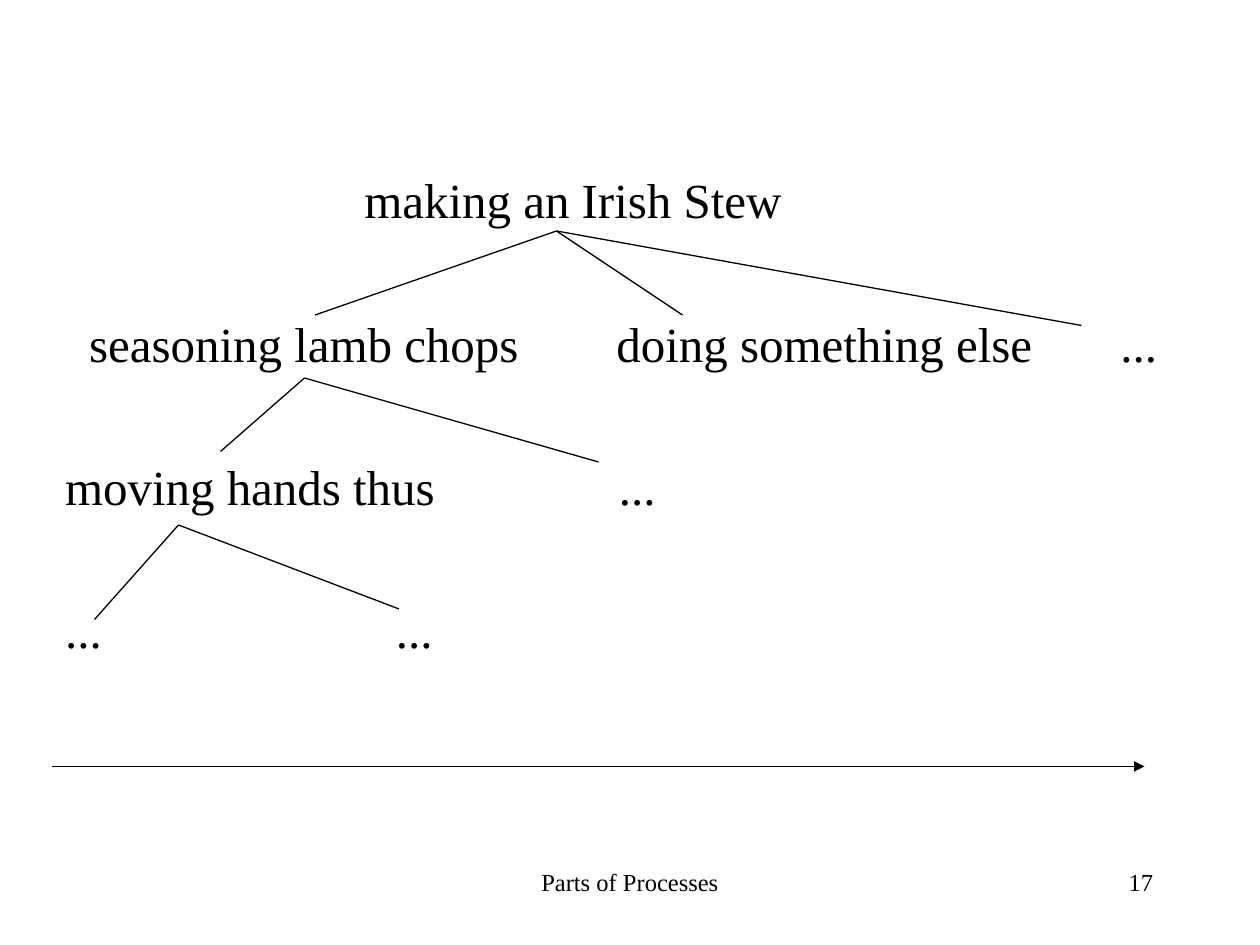
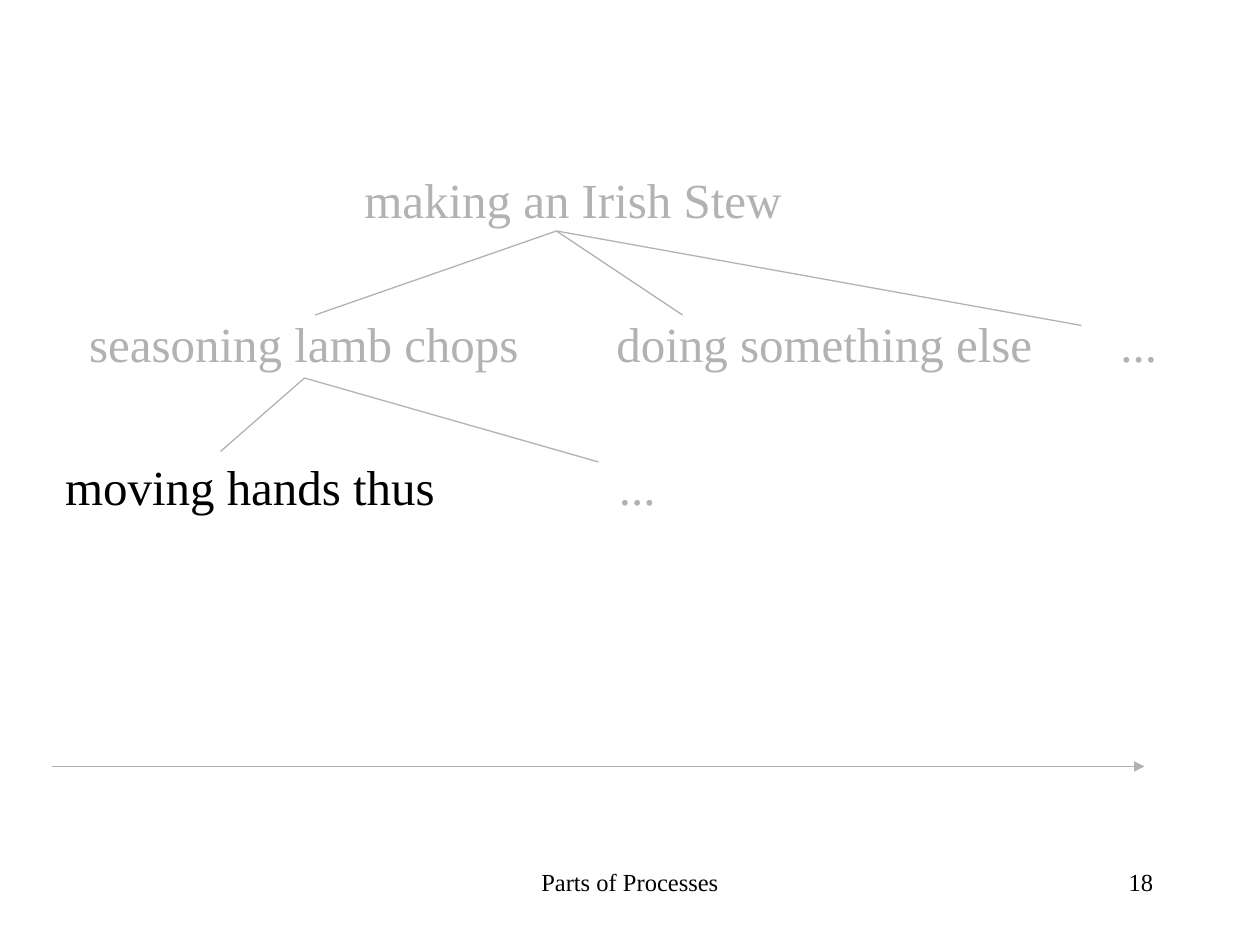
from collections import namedtuple
from dataclasses import dataclass

from lxml import etree
from pptx import Presentation
from pptx.dml.color import RGBColor
from pptx.enum import shapes, text
from pptx.oxml import ns
from pptx.util import Pt

Box = namedtuple("Box", "left top width height")
Row = namedtuple("Row", "labels margin indent tab_pitch")


@dataclass(frozen=True)
class Theme:
    font: str = "Times New Roman"
    ink: RGBColor = RGBColor(0x00, 0x00, 0x00)
    muted: RGBColor = RGBColor(0xB2, 0xB2, 0xB2)
    tree_size: float = 28
    footer_size: float = 14
    line_width: float = 0.75
    row_gap: float = 48.3


THEME = Theme()
TREE_BOX = Box(30, 90, 666, 396)
FOOTER_BOX = Box(246, 492, 228, 36)
NUMBER_BOX = Box(516, 492, 150, 36)

# Labels of a row are set apart by one tab each; the pitch counts from the margin.
ROWS = [
    Row(["making an Irish Stew"], 171, 0, 72),
    Row(["seasoning lamb chops", "doing something else", "..."], 27, -13.3, 288),
    Row(["moving hands thus", "..."], 0, 0, 316.5),
    Row(["...", "..."], 0, 0, 189),
]
# Each fan joins the node above it to its parts, measured from the tree box.
FANS = [
    ((288, 42), [(150, 90), (360, 90), (588, 96)]),
    ((144, 126), [(96, 168), (312, 174)]),
    ((72, 210), [(24, 264), (198, 258)]),
]
TIME_ARROW = ((0, 348), (624, 348))


def add_run(paragraph, label, size, color):
    run = paragraph.add_run()
    run.text = label
    run.font.name = THEME.font
    run.font.size = Pt(size)
    run.font.color.rgb = color


def add_line(slide, box, start, end, color, arrow=False):
    line = slide.shapes.add_connector(
        shapes.MSO_CONNECTOR.STRAIGHT,
        Pt(box.left + start[0]), Pt(box.top + start[1]),
        Pt(box.left + end[0]), Pt(box.top + end[1]))
    line.line.color.rgb = color
    line.line.width = Pt(THEME.line_width)
    properties = line._element.spPr
    if arrow:
        etree.SubElement(properties.find(ns.qn("a:ln")), ns.qn("a:tailEnd"), type="triangle")
    etree.SubElement(properties, ns.qn("a:effectLst"))


def set_row_layout(paragraph, row):
    """Turn off the bullet and set the row's indents and tab pitch."""
    properties = paragraph._p.get_or_add_pPr()
    properties.set("marL", str(Pt(row.margin)))
    properties.set("indent", str(Pt(row.indent)))
    properties.set("defTabSz", str(Pt(row.tab_pitch)))
    etree.SubElement(properties, ns.qn("a:buNone"))


def add_tree_text(slide, box, rows, color, highlight):
    body = slide.placeholders[1]
    body.left, body.top, body.width, body.height = map(Pt, box)
    frame = body.text_frame
    frame.auto_size = text.MSO_AUTO_SIZE.NONE
    frame.vertical_anchor = text.MSO_ANCHOR.TOP
    frame.margin_top = Pt(7)
    for index, row in enumerate(rows):
        paragraph = frame.add_paragraph() if index else frame.paragraphs[0]
        set_row_layout(paragraph, row)
        paragraph.space_before = Pt(THEME.row_gap if index else 0)
        for column, label in enumerate(row.labels):
            add_run(paragraph, ("\t" if column else "") + label, THEME.tree_size,
                    THEME.ink if label == highlight else color)


def add_process_tree(slide, box, depth, color, highlight=None):
    add_tree_text(slide, box, ROWS[:depth], color, highlight)
    for hub, ends in FANS[:depth - 1]:
        for end in ends:
            add_line(slide, box, hub, end, color)
    add_line(slide, box, *TIME_ARROW, color, arrow=True)


def add_footer_text(slide, box, label, alignment):
    frame = slide.shapes.add_textbox(*map(Pt, box)).text_frame
    frame.word_wrap = True
    paragraph = frame.paragraphs[0]
    paragraph.alignment = alignment
    add_run(paragraph, label, THEME.footer_size, THEME.ink)


def add_process_slide(presentation, number, **tree):
    slide = presentation.slides.add_slide(presentation.slide_layouts[1])
    title = slide.shapes.title._element
    title.getparent().remove(title)
    add_process_tree(slide, TREE_BOX, **tree)
    add_footer_text(slide, FOOTER_BOX, "Parts of Processes", text.PP_ALIGN.CENTER)
    add_footer_text(slide, NUMBER_BOX, str(number), text.PP_ALIGN.RIGHT)


def main():
    presentation = Presentation()
    presentation.slide_width, presentation.slide_height = Pt(720), Pt(540)
    add_process_slide(presentation, 17, depth=4, color=THEME.ink)
    add_process_slide(presentation, 18, depth=3, color=THEME.muted,
                      highlight="moving hands thus")
    presentation.save("out.pptx")


if __name__ == "__main__":
    main()
